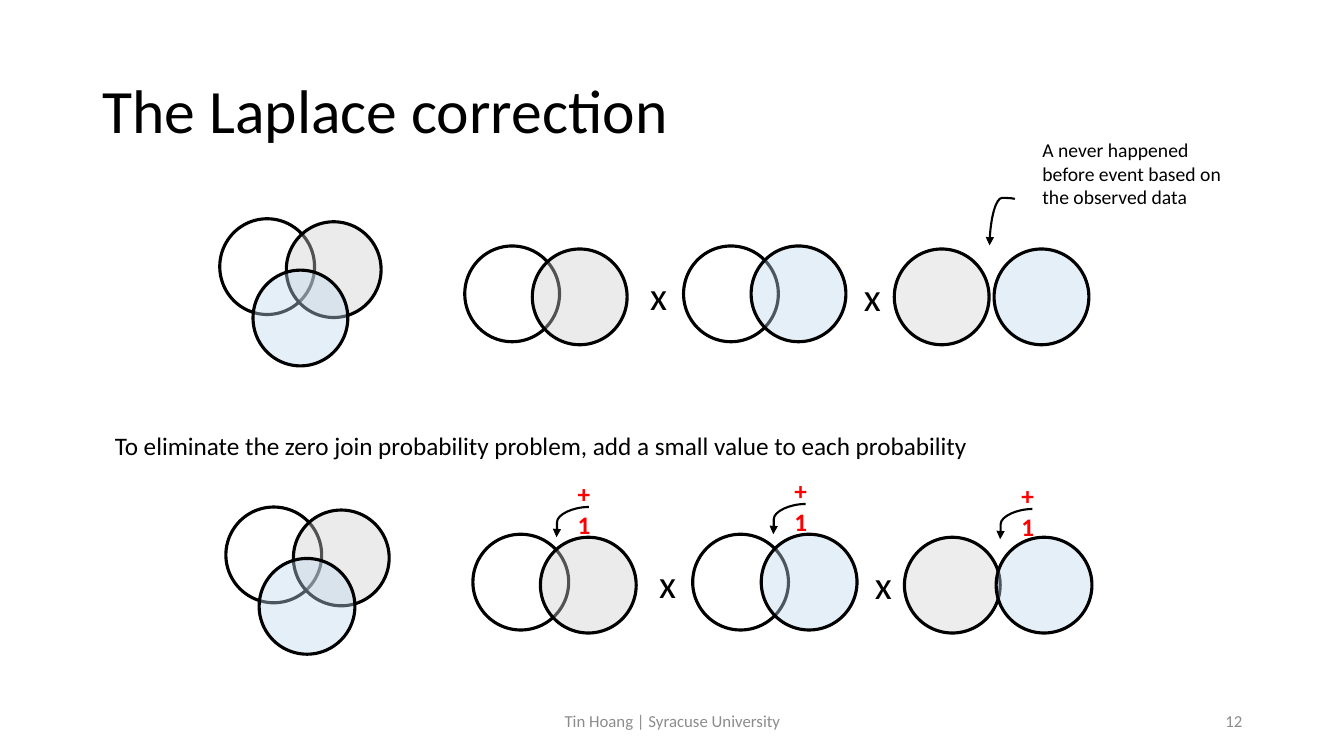
from dataclasses import dataclass

from lxml import etree
from pptx import Presentation
from pptx.dml.color import RGBColor
from pptx.enum.shapes import MSO_CONNECTOR, MSO_SHAPE
from pptx.enum.text import MSO_ANCHOR, PP_ALIGN
from pptx.oxml.ns import qn
from pptx.slide import Slide
from pptx.util import Emu, Pt

CURVE = MSO_CONNECTOR.CURVE
OVAL = MSO_SHAPE.OVAL
TOP, MIDDLE = MSO_ANCHOR.TOP, MSO_ANCHOR.MIDDLE
LEFT, CENTER, RIGHT = PP_ALIGN.LEFT, PP_ALIGN.CENTER, PP_ALIGN.RIGHT

EMU_PER_PX = 9144
FONT = "Calibri"
CIRCLE_HEIGHT = 95
COLORS = {
    "black": "000000",
    "white": "FFFFFF",
    "gray": "D0CECE",
    "blue": "BDD7EE",
    "pale": "EDEDED",
    "red": "FF0000",
    "footer": "8C8C8C",
}
OPACITY = {"gray": 40, "blue": 40}


@dataclass(frozen=True)
class Label:
    text: str
    left: int
    top: int
    width: int
    height: int
    size: int
    color: str = "black"
    bold: bool = False
    align: PP_ALIGN = LEFT
    anchor: MSO_ANCHOR = TOP
    spacing: float = 1.0
    inset: int = 10


@dataclass(frozen=True)
class Circle:
    drop: int
    color: str


@dataclass(frozen=True)
class Row:
    top: int
    circle_width: int
    circle_lefts: tuple[int, ...]
    times_lefts: tuple[int, ...]


@dataclass(frozen=True)
class Arrow:
    begin: tuple[int, int]
    end: tuple[int, int]
    bend: int
    rotation: int = 0


CIRCLES = (
    Circle(0, "white"), Circle(3, "gray"), Circle(51, "blue"),
    Circle(27, "white"), Circle(30, "gray"),
    Circle(27, "white"), Circle(27, "blue"),
    Circle(30, "pale"), Circle(30, "blue"),
)
TIMES_DROPS = (47, 48)
ROWS = (
    Row(217, 94, (218, 284, 251, 461, 528, 678, 745, 887, 986), (635, 847)),
    Row(503, 95, (224, 291, 257, 469, 536, 687, 755, 897, 988), (644, 858)),
)
INCREMENT_STARTS = ((584, 503), (799, 500), (1024, 505))
EVENT_ARROW = Arrow((971, 208), (1017, 233), -2700, 90)
LABELS = (
    Label("The Laplace correction", 92, 40, 1150, 145, 44, anchor=MIDDLE, spacing=0.9),
    Label("Tin Hoang | Syracuse University", 442, 695, 450, 40, 12, "footer",
          align=CENTER, anchor=MIDDLE),
    Label("12", 942, 695, 300, 40, 12, "footer", align=RIGHT, anchor=MIDDLE),
    Label("A never happened before event based on the observed data",
          1024, 132, 209, 81, 14),
    Label("To eliminate the zero join probability problem, "
          "add a small value to each probability", 104, 422, 876, 40, 18),
)


def px(value: int) -> Emu:
    return Emu(value * EMU_PER_PX)


def rgb(name: str) -> RGBColor:
    return RGBColor.from_string(COLORS[name])


def apply(target: object, values: dict) -> None:
    for name, value in values.items():
        setattr(target, name, value)


def draw_label(page: Slide, label: Label) -> None:
    box = page.shapes.add_textbox(
        px(label.left), px(label.top), px(label.width), px(label.height))
    apply(box.text_frame, {
        "word_wrap": True,
        "vertical_anchor": label.anchor,
        "margin_left": px(label.inset),
        "margin_right": px(label.inset),
        "margin_top": px(5),
        "margin_bottom": px(5),
    })
    para = box.text_frame.paragraphs[0]
    apply(para, {"alignment": label.align, "line_spacing": label.spacing})
    span = para.add_run()
    span.text = label.text
    apply(span.font, {"name": FONT, "size": Pt(label.size), "bold": label.bold})
    span.font.color.rgb = rgb(label.color)


def draw_circle(page: Slide, circle: Circle, left: int, row: Row) -> None:
    shape = page.shapes.add_shape(
        OVAL, px(left), px(row.top + circle.drop),
        px(row.circle_width), px(CIRCLE_HEIGHT))
    shape.shadow.inherit = False
    shape.fill.solid()
    shape.fill.fore_color.rgb = rgb(circle.color)
    if circle.color in OPACITY:
        fill_color = shape.fill._xPr.find(f"{qn('a:solidFill')}/{qn('a:srgbClr')}")
        etree.SubElement(fill_color, qn("a:alpha"), val=str(OPACITY[circle.color] * 1000))
    shape.line.color.rgb = rgb("black")
    shape.line.width = Pt(2.25)


def draw_row(page: Slide, row: Row) -> None:
    for circle, left in zip(CIRCLES, row.circle_lefts):
        draw_circle(page, circle, left, row)
    for left, drop in zip(row.times_lefts, TIMES_DROPS):
        draw_label(page, Label("x", left, row.top + drop, 23, 50, 28))


def draw_arrow(page: Slide, arrow: Arrow) -> None:
    connector = page.shapes.add_connector(
        CURVE, *(px(value) for value in arrow.begin + arrow.end))
    connector.rotation = arrow.rotation
    connector.line.color.rgb = rgb("black")
    connector.line.width = Pt(1.5)
    properties = connector._element.spPr
    guides = properties.find(f"{qn('a:prstGeom')}/{qn('a:avLst')}")
    etree.SubElement(guides, qn("a:gd"), name="adj1", fmla=f"val {arrow.bend}")
    etree.SubElement(properties.find(qn("a:ln")), qn("a:tailEnd"), type="triangle")
    etree.SubElement(properties, qn("a:effectLst"))


def draw_increment(page: Slide, left: int, top: int) -> None:
    draw_arrow(page, Arrow((left, top), (left - 32, top + 30), 98600))
    draw_label(page, Label("+1", left - 19, top - 33, 38, 35, 18, "red", True, inset=8))


def main() -> None:
    deck = Presentation()
    apply(deck, {"slide_width": px(1333), "slide_height": px(750)})
    page = deck.slides.add_slide(deck.slide_layouts[6])
    for row in ROWS:
        draw_row(page, row)
    for start in INCREMENT_STARTS:
        draw_increment(page, *start)
    draw_arrow(page, EVENT_ARROW)
    for label in LABELS:
        draw_label(page, label)
    deck.save("out.pptx")


if __name__ == "__main__":
    main()
